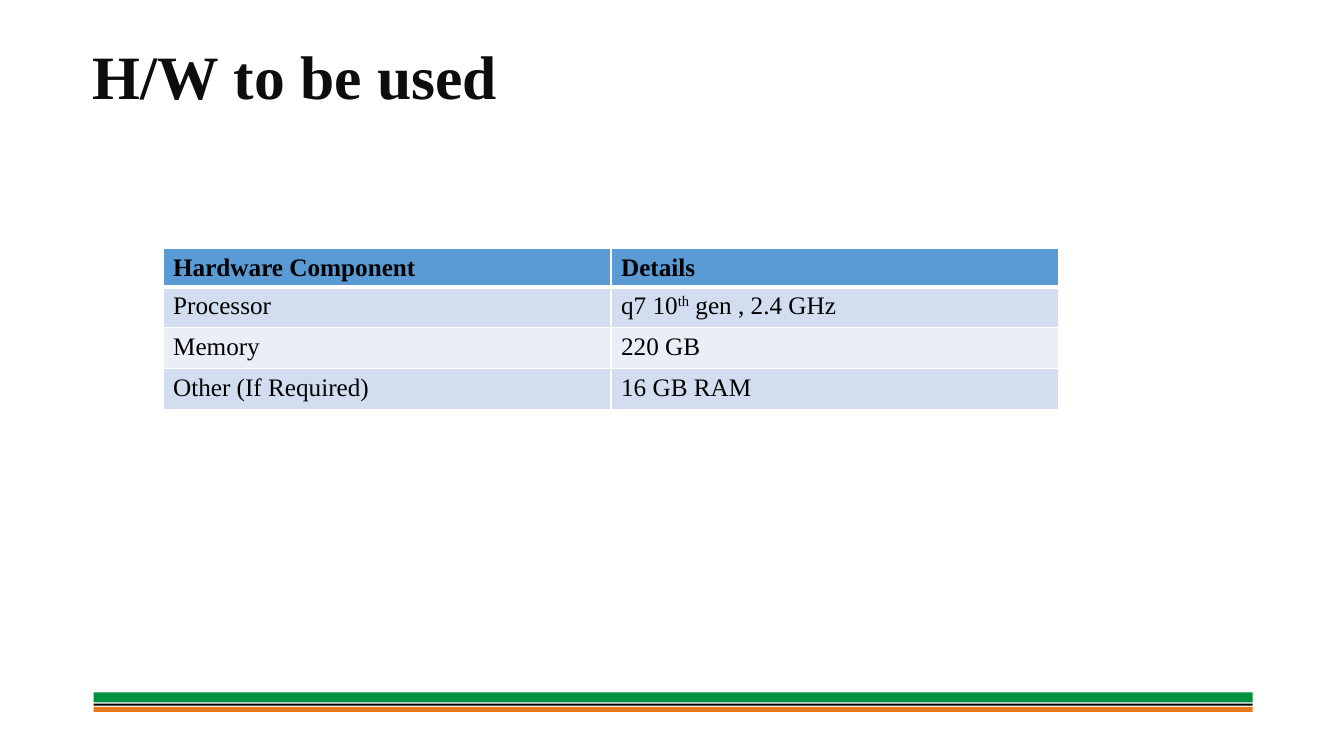
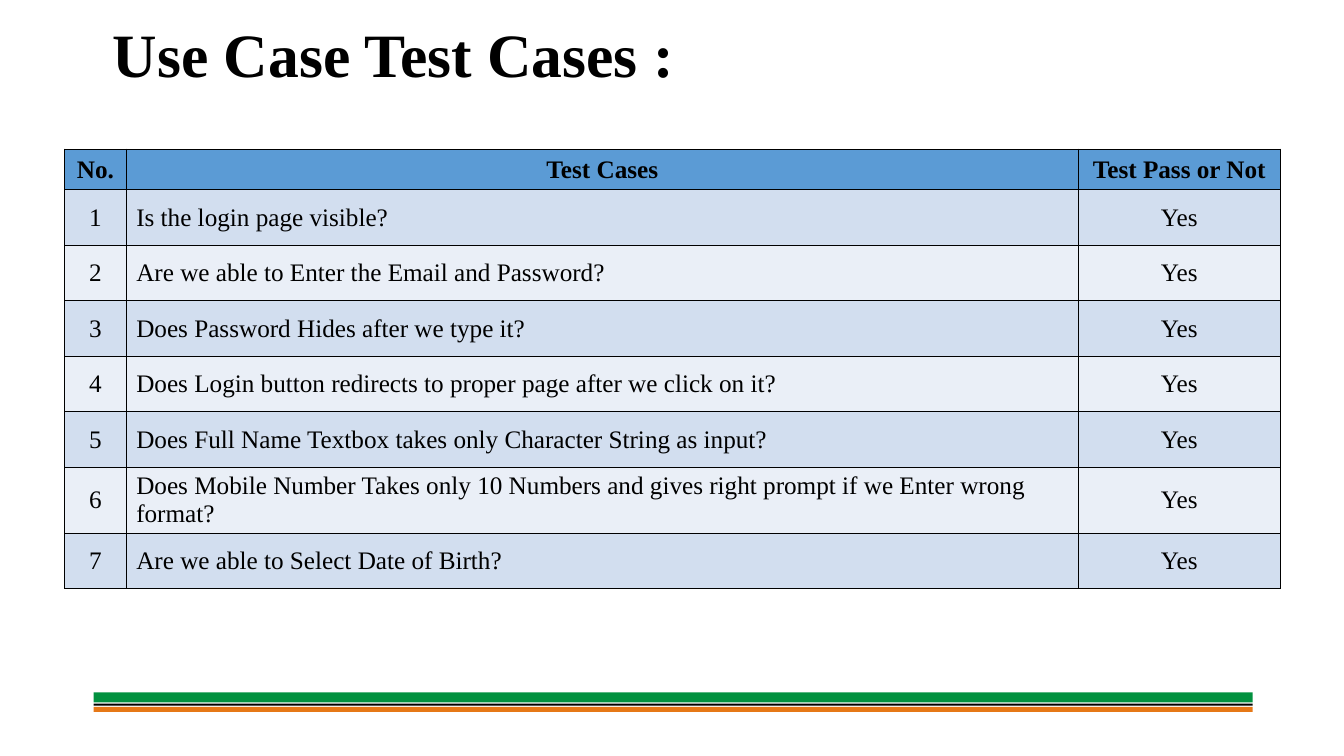
from lxml.etree import SubElement
from pptx import Presentation
from pptx.dml.color import RGBColor
from pptx.enum.shapes import MSO_SHAPE
from pptx.enum.text import MSO_ANCHOR, MSO_AUTO_SIZE, PP_ALIGN
from pptx.oxml.ns import qn
from pptx.util import Cm, Pt

FONT = "Times New Roman"
COLORS = {
    "green": "02913F", "orange": "E67817", "black": "000000", "white": "FFFFFF",
    "ink": "0D0D0D", "header": "5B9BD5", "odd": "D2DEEF", "even": "EAEFF7",
}
TITLE_ONLY = 5

HARDWARE = [
    ("Hardware Component", "Details"),
    ("Processor", "q7 10^th^ gen , 2.4 GHz"),
    ("Memory", "220 GB"),
    ("Other (If Required)", "16 GB RAM"),
]
TEST_QUESTIONS = [
    "Is the login page visible?",
    "Are we able to Enter the Email and Password?",
    "Does Password Hides after we type it?",
    "Does Login button redirects to proper page after we click on it?",
    "Does Full Name Textbox takes only Character String as input?",
    "Does Mobile Number Takes only 10 Numbers and gives right prompt if we Enter wrong format?",
    "Are we able to Select Date of Birth?",
]


def rgb(name):
    return RGBColor.from_string(COLORS[name])


def write_text(frame, text, size=18, color="black", bold=False,
               align=PP_ALIGN.LEFT, spacing=None):
    """Write one paragraph; text between ^ marks is superscript."""
    paragraph = frame.paragraphs[0]
    paragraph.alignment = align
    if spacing:
        paragraph.line_spacing = spacing
    for index, part in enumerate(text.split("^")):
        run = paragraph.add_run()
        run.text = part
        run.font.name = FONT
        run.font.size = Pt(size)
        run.font.bold = bold
        run.font.color.rgb = rgb(color)
        if index % 2:
            run.font._element.set("baseline", "30000")


def set_borders(cell, color, top=1, bottom=1):
    properties = cell._tc.get_or_add_tcPr()
    for side, width in (("L", 1), ("R", 1), ("T", top), ("B", bottom)):
        border = SubElement(properties, qn(f"a:ln{side}"), w=str(Pt(width)))
        fill = SubElement(border, qn("a:solidFill"))
        SubElement(fill, qn("a:srgbClr"), val=COLORS[color])


def add_title(slide, text, box, color="black"):
    title = slide.shapes.title
    title.left, title.top, title.width, title.height = (Cm(v) for v in box)
    frame = title.text_frame
    frame.margin_left = frame.margin_right = frame.margin_top = frame.margin_bottom = 0
    frame.vertical_anchor = MSO_ANCHOR.MIDDLE
    frame.word_wrap = True
    frame.auto_size = MSO_AUTO_SIZE.NONE
    write_text(frame, text, size=44, color=color, bold=True, spacing=0.9)
    return title


def add_footer_bands(slide, left=2.36, top=17.45, width=29.21):
    for offset, height, color in ((0, 0.25, "green"), (0.36, 0.13, "orange"),
                                  (0.28, 0.05, "black")):
        band = slide.shapes.add_shape(MSO_SHAPE.RECTANGLE, Cm(left), Cm(top + offset),
                                      Cm(width), Cm(height))
        band.shadow.inherit = False
        band.fill.solid()
        band.fill.fore_color.rgb = rgb(color)
        band.line.fill.background()


def add_banded_table(slide, rows, left, top, column_widths, header_height, row_height,
                     border, header_rule=1, anchor=MSO_ANCHOR.TOP,
                     header_align=PP_ALIGN.LEFT, centered_columns=()):
    heights = [header_height] + [row_height] * (len(rows) - 1)
    table = slide.shapes.add_table(len(rows), len(column_widths), Cm(left), Cm(top),
                                   Cm(sum(column_widths)), Cm(sum(heights))).table
    for column, width in zip(table.columns, column_widths):
        column.width = Cm(width)
    for r, (values, height) in enumerate(zip(rows, heights)):
        table.rows[r].height = Cm(height)
        for c, value in enumerate(values):
            cell = table.cell(r, c)
            # Borders, with the rule under the header
            set_borders(cell, border, top=header_rule if r == 1 else 1,
                        bottom=header_rule if r == 0 else 1)
            # Header and band fills
            cell.fill.solid()
            cell.fill.fore_color.rgb = rgb("header" if r == 0 else "odd" if r % 2 else "even")
            # Text
            cell.vertical_anchor = anchor
            body_align = PP_ALIGN.CENTER if c in centered_columns else PP_ALIGN.LEFT
            write_text(cell.text_frame, value, bold=r == 0,
                       align=header_align if r == 0 else body_align)


def new_slide(deck):
    slide = deck.slides.add_slide(deck.slide_layouts[TITLE_ONLY])
    add_footer_bands(slide)
    return slide


def build_hardware(deck):
    slide = new_slide(deck)
    title = add_title(slide, "H/W to be used", (2.34, 0.69, 29.21, 2.64), color="ink")
    title.line.color.rgb = rgb("white")
    title.line.width = Pt(1.5)
    add_banded_table(slide, HARDWARE, 4.11, 6.27, (11.29, 11.29), 0.94, 1.03,
                     border="white", header_rule=3)


def build_test_cases(deck):
    slide = new_slide(deck)
    add_title(slide, "Use Case Test Cases :", (2.84, 0.23, 15.8, 2.44))
    rows = [("No.", "Test Cases", "Test Pass or Not")]
    rows += [(str(n), question, "Yes") for n, question in enumerate(TEST_QUESTIONS, 1)]
    add_banded_table(slide, rows, 1.63, 3.76, (1.55, 24, 5.08), 1.02, 1.4,
                     border="black", anchor=MSO_ANCHOR.MIDDLE,
                     header_align=PP_ALIGN.CENTER, centered_columns=(0, 2))


def main():
    deck = Presentation()
    deck.slide_width, deck.slide_height = Cm(33.87), Cm(19.05)
    build_hardware(deck)
    build_test_cases(deck)
    deck.save("out.pptx")


if __name__ == "__main__":
    main()
